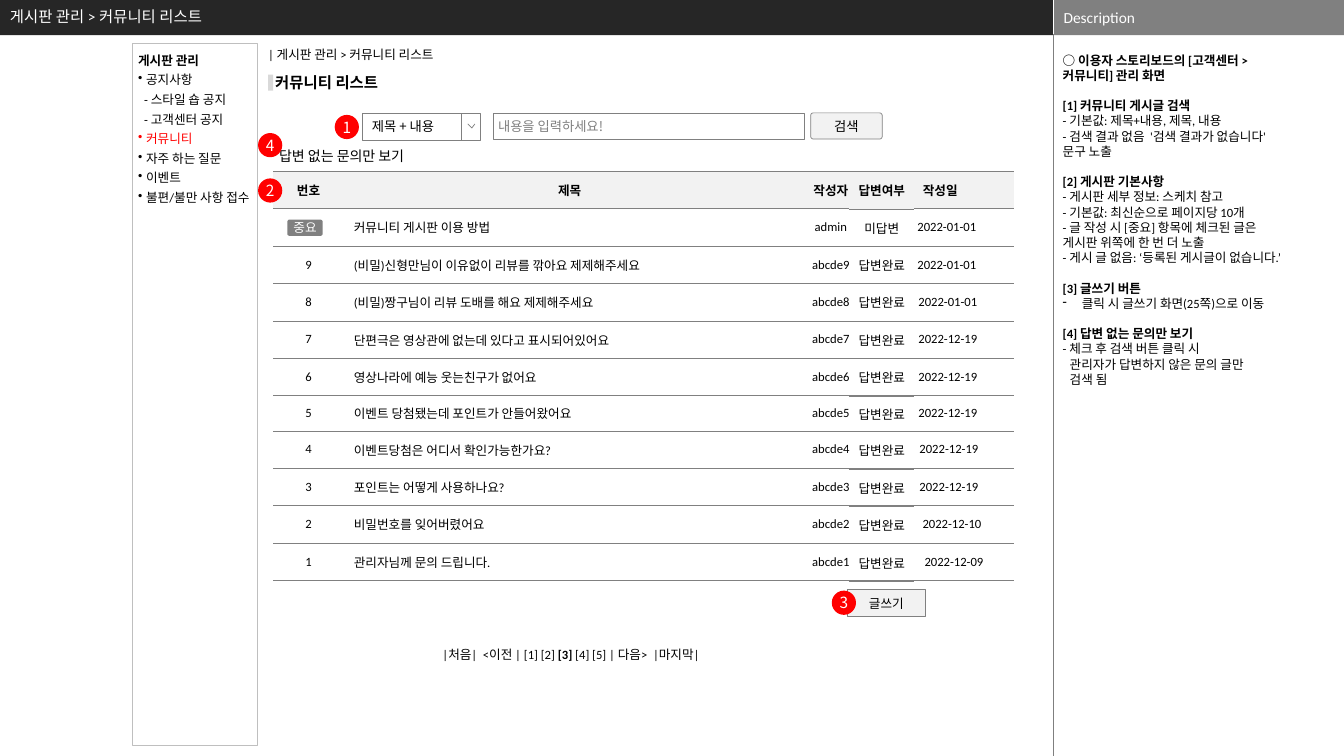
"""Build the community list wireframe slide of a board administration storyboard."""
import lxml.etree
import pptx
import pptx.dml.color
import pptx.enum.shapes
import pptx.enum.text
import pptx.oxml.ns
import pptx.util

Inches, Pt = pptx.util.Inches, pptx.util.Pt
RGBColor = pptx.dml.color.RGBColor
SHAPE = pptx.enum.shapes.MSO_SHAPE
ALIGN = pptx.enum.text.PP_ALIGN
ANCHOR = pptx.enum.text.MSO_ANCHOR
qn = pptx.oxml.ns.qn

BLACK = RGBColor(0x00, 0x00, 0x00)
WHITE = RGBColor(0xFF, 0xFF, 0xFF)
RED = RGBColor(0xFF, 0x00, 0x00)
DARK = RGBColor(0x26, 0x26, 0x26)
GRAY = RGBColor(0x80, 0x80, 0x80)
RULE = RGBColor(0x7F, 0x7F, 0x7F)
SILVER = RGBColor(0xBF, 0xBF, 0xBF)
LIGHT = RGBColor(0xD9, 0xD9, 0xD9)
PALE = RGBColor(0xF2, 0xF2, 0xF2)
LATIN, KOREAN = "Calibri", "Noto Sans CJK KR"

MENU = [
    ("게시판 관리", dict(bold=True)),
    ("공지사항", dict(bullet="•", indent=0.08)),
    ("- 스타일 숍 공지", dict(indent=0.06)),
    ("- 고객센터 공지", dict(indent=0.06)),
    ("커뮤니티", dict(bullet="•", indent=0.08, color=RED)),
    ("자주 하는 질문", dict(bullet="•", indent=0.08)),
    ("이벤트", dict(bullet="•", indent=0.08)),
    ("불편/불만 사항 접수", dict(bullet="•", indent=0.08)),
]
NOTES = [
    ("○ 이용자 스토리보드의 [고객센터 > 커뮤니티] 관리 화면", []),
    ("[1] 커뮤니티 게시글 검색", [
        ("- 기본값: 제목+내용, 제목, 내용", {}),
        ("- 검색 결과 없음  '검색 결과가 없습니다' 문구 노출", {})]),
    ("[2] 게시판 기본사항", [
        ("- 게시판 세부 정보: 스케치 참고", {}),
        ("- 기본값: 최신순으로 페이지당 10개", {}),
        ("- 글 작성 시 [중요] 항목에 체크된 글은 게시판 위쪽에 한 번 더 노출", {}),
        ("- 게시 글 없음: ‘등록된 게시글이 없습니다.’", {})]),
    ("[3] 글쓰기 버튼", [
        ("클릭 시 글쓰기 화면(25쪽)으로 이동", dict(bullet="-", indent=0.19))]),
    ("[4] 답변 없는 문의만 보기", [
        ("- 체크 후 검색 버튼 클릭 시", {}),
        ("관리자가 답변하지 않은 문의 글만", dict(indent=0.07)),
        ("검색 됨", dict(indent=0.07))]),
]
POSTS = [
    ("", "커뮤니티 게시판 이용 방법", "admin", "2022-01-01", 0.51),
    ("9", "(비밀)신형만님이 이유없이 리뷰를 깎아요 제제해주세요", "abcde9", "2022-01-01", 0.51),
    ("8", "(비밀)짱구님이 리뷰 도배를 해요 제제해주세요", "abcde8", "2022-01-01", 0.52),
    ("7", "단편극은 영상관에 없는데 있다고 표시되어있어요", "abcde7", "2022-12-19", 0.52),
    ("6", "영상나라에 예능 웃는친구가 없어요", "abcde6", "2022-12-19", 0.52),
    ("5", "이벤트 당첨됐는데 포인트가 안들어왔어요", "abcde5", "2022-12-19", 0.52),
    ("4", "이벤트당첨은 어디서 확인가능한가요?", "abcde4", "2022-12-19", 0.53),
    ("3", "포인트는 어떻게 사용하나요?", "abcde3", "2022-12-19", 0.53),
    ("2", "비밀번호를 잊어버렸어요", "abcde2", "2022-12-10", 0.56),
    ("1", "관리자님께 문의 드립니다.", "abcde1", "2022-12-09", 0.58),
]
CALLOUTS = [("1", 3.32, 1.14), ("2", 2.56, 1.77), ("3", 8.25, 5.86), ("4", 2.56, 1.32)]


def write(tf, text, size=9, font=LATIN, color=BLACK, bold=False, align=ALIGN.LEFT,
          spacing=None, before=0, bullet=None, indent=0):
    """Append a paragraph; pieces between double asterisks are bold."""
    p = tf.add_paragraph() if tf.text else tf.paragraphs[0]
    pPr = p._p.get_or_add_pPr()
    if indent:
        pPr.set("marL", str(Inches(indent)))
    if bullet:
        pPr.set("indent", str(-Inches(indent)))
        lxml.etree.SubElement(pPr, qn("a:buChar"), char=bullet)
    p.alignment = align
    p.space_before = Pt(before)
    if spacing:
        p.line_spacing = spacing
    for i, piece in enumerate(text.split("**")):
        r = p.add_run()
        r.text = piece
        r.font.size, r.font.name = Pt(size), font
        r.font.bold = bold or i % 2 == 1
        r.font.color.rgb = color


def frame(sp, inset=(0.1, 0.05), anchor=ANCHOR.TOP, wrap=True):
    """Set up the text frame of a shape and return it."""
    tf = sp.text_frame
    tf.word_wrap, tf.vertical_anchor = wrap, anchor
    tf.margin_left = tf.margin_right = Inches(inset[0])
    tf.margin_top = tf.margin_bottom = Inches(inset[1])
    return tf


def paint(sp, fill=None, line=None, width=0.5):
    """Set fill and outline, and drop the shadow."""
    sp.shadow.inherit = False
    if fill is None:
        sp.fill.background()
    else:
        sp.fill.solid()
        sp.fill.fore_color.rgb = fill
    if line is None:
        sp.line.fill.background()
    else:
        sp.line.color.rgb = line
        sp.line.width = Pt(width)


def add_box(shapes, box, kind=SHAPE.RECTANGLE, fill=None, line=None, width=0.5,
            round_by=None, text="", inset=(0.05, 0.05), align=ALIGN.CENTER, **fmt):
    """Add a preset shape with optional text in its middle."""
    sp = shapes.add_shape(kind, *map(Inches, box))
    paint(sp, fill, line, width)
    if round_by:
        sp.adjustments[0] = round_by
    if text:
        write(frame(sp, inset, ANCHOR.MIDDLE), text, align=align, **fmt)
    return sp


def add_label(s, box, text, inset=(0.1, 0.05), anchor=ANCHOR.TOP, **fmt):
    """Add a text box with one paragraph."""
    sp = s.shapes.add_textbox(*map(Inches, box))
    write(frame(sp, inset, anchor), text, **fmt)


def add_divider(s, x, top, bottom, color):
    """Add a thin vertical line."""
    c = s.shapes.add_connector(pptx.enum.shapes.MSO_CONNECTOR.STRAIGHT,
                               *map(Inches, (x, top, x, bottom)))
    c.line.color.rgb, c.line.width = color, Pt(0.25)
    lxml.etree.SubElement(c._element.spPr, qn("a:effectLst"))


def rule_cell(cell):
    """Give a cell gray lines above and below and none at its sides."""
    tcPr = cell._tc.get_or_add_tcPr()
    for i, side in enumerate(("lnL", "lnR", "lnT", "lnB")):
        ln = lxml.etree.Element(qn("a:" + side), w=str(Pt(0.5)))
        if i < 2:
            lxml.etree.SubElement(ln, qn("a:noFill"))
        else:
            fill = lxml.etree.SubElement(ln, qn("a:solidFill"))
            lxml.etree.SubElement(fill, qn("a:srgbClr"), val=str(GRAY))
        tcPr.insert(i, ln)


def add_grid(s, left, height, widths, rows, left_column=None, date_insets=None, inset=0.1):
    """Add a ruled table whose first row is the heading."""
    t = s.shapes.add_table(len(rows), len(widths), Inches(left), Inches(1.7),
                           Inches(sum(widths)), Inches(height)).table
    t.first_row = t.horz_banding = False
    for column, width in zip(t.columns, widths):
        column.width = Inches(width)
    short_row, short = 6, 0.35
    for i, row in enumerate(rows):
        t.rows[i].height = Inches(short if i == short_row else (height - short) / (len(rows) - 1))
        for j, text in enumerate(row):
            cell = t.cell(i, j)
            cell.vertical_anchor = ANCHOR.MIDDLE
            cell.margin_left = cell.margin_right = Inches(inset)
            cell.margin_top = cell.margin_bottom = 0
            cell.fill.background()
            if i == 0:
                cell.fill.solid()
                cell.fill.fore_color.rgb = PALE
            dated = i > 0 and date_insets and j == len(row) - 1
            if dated:
                cell.margin_left = Inches(date_insets[i - 1])
            if text:
                at_left = dated or (i > 0 and j == left_column)
                write(cell.text_frame, text, bold=i == 0,
                      align=ALIGN.LEFT if at_left else ALIGN.CENTER)
            rule_cell(cell)


def add_dropdown(s):
    """Add the search field selector with its chevron."""
    shapes = s.shapes.add_group_shape().shapes
    add_box(shapes, (3.59, 1.12, 1, 0.27), fill=WHITE, line=GRAY, text="제목 + 내용",
            inset=(0.1, 0.05), align=ALIGN.LEFT, size=9.5, font=KOREAN)
    add_box(shapes, (4.58, 1.12, 0.18, 0.27), fill=WHITE, line=GRAY)
    fb = shapes.build_freeform(Inches(4.71), Inches(1.23))
    fb.add_line_segments([(Inches(4.68), Inches(1.27)), (Inches(4.64), Inches(1.23))], close=False)
    paint(fb.convert_to_shape(), WHITE, GRAY)


def add_description(s):
    """Add the description panel text."""
    tf = frame(s.shapes.add_textbox(*map(Inches, (10.5, 0.52, 2.34, 7))), (0.04, 0))
    for i, (heading, items) in enumerate(NOTES):
        write(tf, heading, bold=True, before=11 if i else 0)
        for text, fmt in items:
            write(tf, text, **fmt)


def add_menu(s):
    """Add the board menu at the left."""
    sp = add_box(s.shapes, (1.31, 0.43, 1.24, 6.97), line=SILVER, width=0.75)
    tf = frame(sp, (0.06, 0.05), wrap=False)
    tf.margin_right = 0
    for text, fmt in MENU:
        write(tf, text, spacing=Pt(14), **fmt)


def main():
    """Build and save the slide."""
    prs = pptx.Presentation()
    prs.slide_width, prs.slide_height = Inches(13.33), Inches(7.5)
    s = prs.slides.add_slide(prs.slide_layouts[6])

    add_box(s.shapes, (0, 0, 10.45, 0.35), fill=DARK)
    add_box(s.shapes, (10.45, 0, 2.88, 0.35), fill=GRAY)
    add_divider(s, 10.45, 0, 0.35, WHITE)
    add_divider(s, 10.45, 0.34, 7.5, RULE)
    add_label(s, (0, 0, 10.16, 0.35), "게시판 관리 > 커뮤니티 리스트", anchor=ANCHOR.MIDDLE,
              size=11, color=WHITE, spacing=0.9)
    add_label(s, (10.45, 0, 2.88, 0.35), "Description", anchor=ANCHOR.MIDDLE, size=11, color=WHITE)
    add_description(s)
    add_menu(s)

    add_label(s, (2.56, 0.42, 2.05, 0.25), "| 게시판 관리 > 커뮤니티 리스트")
    add_box(s.shapes, (2.66, 0.74, 0.05, 0.16), fill=LIGHT)
    add_label(s, (2.73, 0.73, 1.13, 0.19), "커뮤니티 리스트", inset=(0, 0), size=11, bold=True)
    add_dropdown(s)
    add_box(s.shapes, (4.89, 1.12, 3.09, 0.26), line=GRAY, text="내용을 입력하세요!",
            align=ALIGN.LEFT, size=9.5, font=KOREAN, color=GRAY)
    add_box(s.shapes, (8.04, 1.12, 0.71, 0.26), SHAPE.ROUNDED_RECTANGLE, PALE, GRAY,
            round_by=0.1, text="검색", size=9.5, font=KOREAN)
    add_label(s, (2.67, 1.33, 1.61, 0.32), "답변 없는 문의만 보기", size=10, spacing=1.5)

    add_grid(s, 2.71, 4.06, (0.7, 4.48, 0.7, 1.47),
             [("번호", "제목", "작성자", "작성일")] + [post[:4] for post in POSTS],
             left_column=1, date_insets=[post[4] for post in POSTS])
    add_grid(s, 8.42, 4.07, (0.65,),
             [("답변여부",), ("미답변",)] + [("답변완료",)] * 9, inset=0)
    add_box(s.shapes, (2.85, 2.18, 0.35, 0.16), SHAPE.ROUNDED_RECTANGLE, GRAY,
            round_by=0.12, text="중요", inset=(0, 0), color=WHITE)
    add_box(s.shapes, (8.4, 5.85, 0.78, 0.27), fill=PALE, line=GRAY, text="글쓰기")
    add_label(s, (4.29, 6.37, 2.85, 0.4),
              "|처음|  <이전 | [1] [2] **[3]** [4] [5] | 다음>  |마지막|")
    for number, x, y in CALLOUTS:
        add_box(s.shapes, (x, y, 0.24, 0.24), SHAPE.OVAL, RED, text=number, inset=(0, 0),
                size=11, font=KOREAN, color=WHITE)
    prs.save("out.pptx")


if __name__ == "__main__":
    main()
